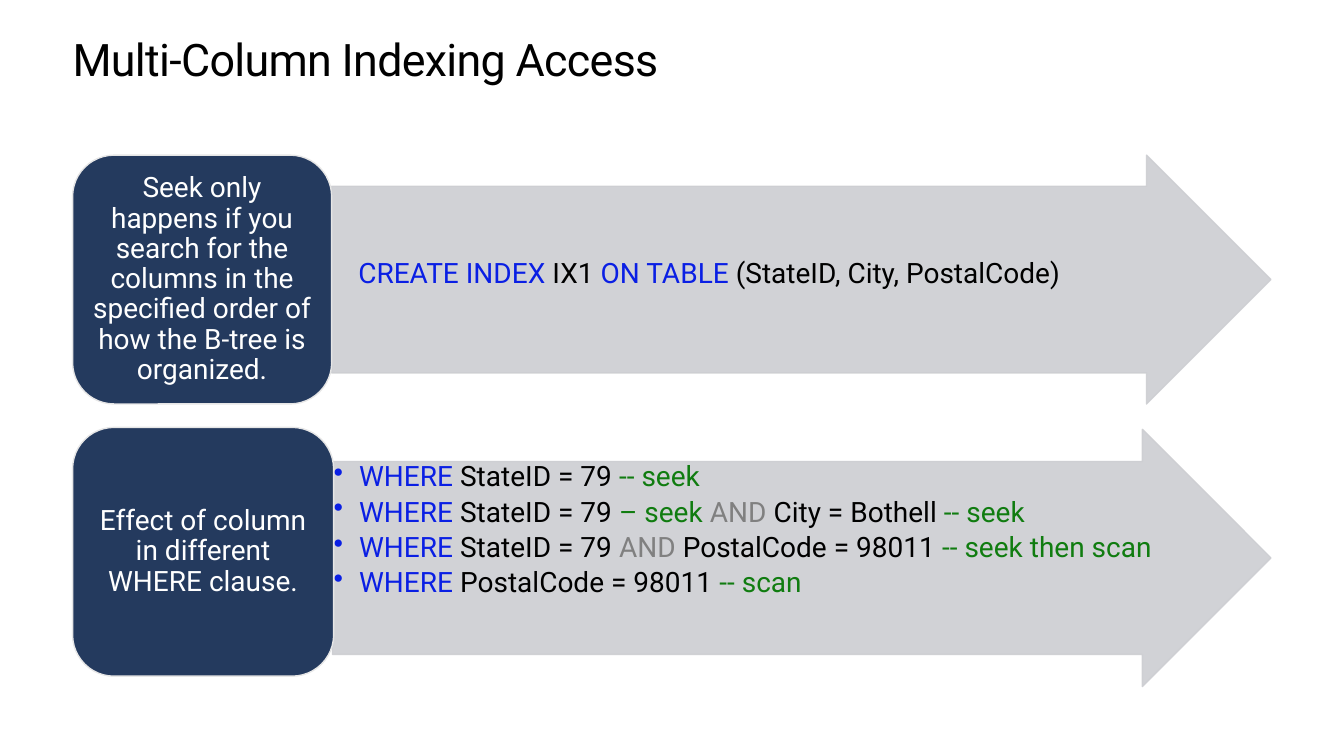
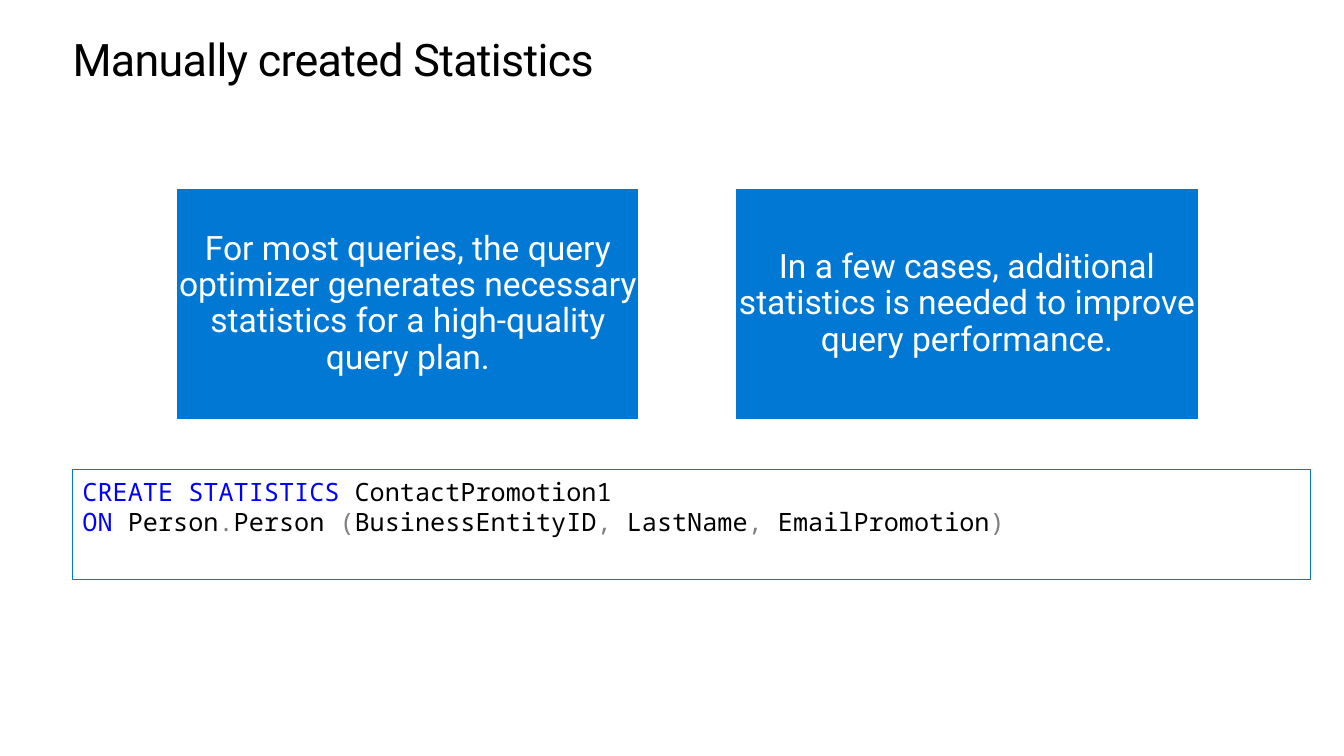
"""Build two slides on multi-column indexing and manually created statistics."""
from dataclasses import dataclass
from typing import NamedTuple

from lxml import etree
from pptx import Presentation
from pptx import util as u
from pptx.dml.color import RGBColor
from pptx.enum import shapes, text
from pptx.oxml import ns

BLACK = RGBColor(0x00, 0x00, 0x00)
WHITE = RGBColor(0xFF, 0xFF, 0xFF)
NAVY = RGBColor(0x24, 0x3A, 0x5E)
PALE = RGBColor(0xE6, 0xE6, 0xE6)
SILVER = RGBColor(0xCD, 0xCE, 0xD2)
AZURE = RGBColor(0x00, 0x78, 0xD4)
KEYWORD = RGBColor(0x0A, 0x1F, 0xE4)
CODE_BLUE = RGBColor(0x00, 0x00, 0xFF)
COMMENT = RGBColor(0x10, 0x7C, 0x10)
GREY = RGBColor(0x80, 0x80, 0x80)

SANS = "Roboto"
MONO = "Noto Sans Mono"
LEFT = 1.83
CARD_LEFT, CARD_PITCH = 4.45, 14.09


class Span(NamedTuple):
    """Text in one colour."""

    words: str
    color: RGBColor = BLACK


class Area(NamedTuple):
    """Left, top, width and height in centimetres."""

    left: float
    top: float
    width: float
    height: float

    def lengths(self) -> list[u.Cm]:
        """Return the four values as slide lengths."""
        return [u.Cm(value) for value in self]


@dataclass(frozen=True)
class Row:
    """A rounded label with the arrow that follows it."""

    label: str
    label_area: Area
    arrow_area: Area
    lines: list[list[Span]]
    arrow_format: dict


WHERE = Span("WHERE ", KEYWORD)
STATE = Span("StateID = 79 ")
POSTAL = Span("PostalCode = 98011 ")
SEEK = Span("-- seek", COMMENT)

ROWS = [
    Row(
        "Seek only happens if you search for the columns in the specified "
        "order of how the B-tree is organized.",
        Area(LEFT, 3.91, 6.53, 6.27),
        Area(8.36, 3.91, 23.67, 6.27),
        [[Span("CREATE INDEX ", KEYWORD), Span("IX1 "), Span("ON TABLE ", KEYWORD),
          Span("(StateID, City, PostalCode)")]],
        {"margins": (0.67, 0, 0.03, 0.25)},
    ),
    Row(
        "Effect of column in different WHERE clause.",
        Area(LEFT, 10.77, 6.58, 6.27),
        Area(8.38, 10.82, 23.65, 6.48),
        [
            [WHERE, STATE, SEEK],
            [WHERE, STATE, Span("– seek ", COMMENT), Span("AND", GREY),
             Span(" City = Bothell "), SEEK],
            [WHERE, STATE, Span("AND ", GREY), POSTAL,
             Span("-- seek then scan", COMMENT)],
            [WHERE, POSTAL, Span("-- scan", COMMENT)],
        ],
        {"margins": (0.03,) * 4, "anchor": text.MSO_ANCHOR.TOP,
         "bullet": True, "after": 3.5},
    ),
]

CARDS = [
    "For most queries, the query optimizer generates necessary statistics "
    "for a high-quality query plan.",
    "In a few cases, additional statistics is needed to improve query performance.",
]

STATISTICS_CODE = [
    [Span("CREATE STATISTICS", CODE_BLUE), Span(" ContactPromotion1")],
    [Span("ON", CODE_BLUE), Span(" Person"), Span(".", GREY), Span("Person "),
     Span("(", GREY), Span("BusinessEntityID"), Span(",", GREY), Span(" LastName"),
     Span(",", GREY), Span(" EmailPromotion"), Span(")", GREY)],
]


def add_bullet(para) -> None:
    """Give a paragraph a hanging round bullet."""
    properties = para._p.get_or_add_pPr()
    indent = u.Cm(0.64)
    properties.set("marL", str(indent))
    properties.set("indent", str(-indent))
    etree.SubElement(properties, ns.qn("a:buChar")).set("char", "•")


def write_text(
    box,
    lines: list[list[Span]],
    *,
    size: float = 20,
    font: str = SANS,
    align=text.PP_ALIGN.LEFT,
    anchor=text.MSO_ANCHOR.MIDDLE,
    margins: tuple[float, ...] = (0, 0, 0, 0),
    spacing: float | u.Pt = 0.9,
    after: float = 0,
    bullet: bool = False,
    tracking: float = 0,
) -> None:
    """Write coloured lines into a shape, one paragraph a line."""
    frame = box.text_frame
    frame.word_wrap = True
    frame.vertical_anchor = anchor
    (frame.margin_left, frame.margin_top,
     frame.margin_right, frame.margin_bottom) = map(u.Cm, margins)
    for index, line in enumerate(lines):
        para = frame.add_paragraph() if index else frame.paragraphs[0]
        para.alignment = align
        para.line_spacing = spacing
        para.space_after = u.Pt(after)
        if bullet:
            add_bullet(para)
        for words, color in line:
            span = para.add_run()
            span.text = words
            span.font.name = font
            span.font.size = u.Pt(size)
            span.font.color.rgb = color
            if tracking:
                span._r.get_or_add_rPr().set("spc", str(round(tracking * 100)))


def add_box(page, kind, area: Area, *, fill: RGBColor | None = None,
            line: RGBColor, weight: float = 1, opacity: int = 100):
    """Add a preset shape with its fill and outline."""
    box = page.shapes.add_shape(kind, *area.lengths())
    box.shadow.inherit = False
    if fill is None:
        box.fill.background()
    else:
        box.fill.solid()
        box.fill.fore_color.rgb = fill
    box.line.color.rgb = line
    box.line.width = u.Pt(weight)
    if opacity < 100:
        for color in box._element.spPr.iter(ns.qn("a:srgbClr")):
            etree.SubElement(color, ns.qn("a:alpha")).set("val", str(opacity * 1000))
    return box


def add_page(deck, title: str):
    """Add a blank page with the shared title style."""
    page = deck.slides.add_slide(deck.slide_layouts[6])
    box = page.shapes.add_textbox(*Area(LEFT, 0.89, 30.23, 1.27).lengths())
    write_text(box, [[Span(title)]], size=32, anchor=text.MSO_ANCHOR.TOP,
               spacing=u.Pt(36.2), tracking=-0.5)
    return page


def add_row(page, row: Row) -> None:
    """Draw an arrow with its code and the label before it."""
    arrow = add_box(page, shapes.MSO_SHAPE.RIGHT_ARROW, row.arrow_area,
                    fill=SILVER, line=SILVER, opacity=90)
    arrow.adjustments[0] = 0.75
    arrow.adjustments[1] = 0.5
    write_text(arrow, row.lines, **row.arrow_format)
    label = add_box(page, shapes.MSO_SHAPE.ROUNDED_RECTANGLE, row.label_area,
                    fill=NAVY, line=PALE)
    write_text(label, [[Span(row.label, WHITE)]], align=text.PP_ALIGN.CENTER,
               margins=(0.18, 0.1, 0.18, 0.1))


def main() -> None:
    """Build and save the deck."""
    deck = Presentation()
    deck.slide_width, deck.slide_height = u.Cm(33.87), u.Cm(19.05)

    indexing = add_page(deck, "Multi-Column Indexing Access")
    for row in ROWS:
        add_row(indexing, row)

    statistics = add_page(deck, "Manually created Statistics")
    code = add_box(statistics, shapes.MSO_SHAPE.RECTANGLE,
                   Area(LEFT, 11.84, 31.19, 2.77), line=AZURE, weight=0.75)
    write_text(code, STATISTICS_CODE, size=18, font=MONO,
               anchor=text.MSO_ANCHOR.TOP, margins=(0.25, 0.18, 0.25, 0.13),
               spacing=u.Pt(21.4))
    for index, message in enumerate(CARDS):
        area = Area(CARD_LEFT + index * CARD_PITCH, 4.75, 11.66, 5.82)
        card = add_box(statistics, shapes.MSO_SHAPE.RECTANGLE, area,
                       fill=AZURE, line=WHITE)
        write_text(card, [[Span(message, WHITE)]], size=24,
                   align=text.PP_ALIGN.CENTER, margins=(0.04,) * 4)

    deck.save("out.pptx")


if __name__ == "__main__":
    main()
